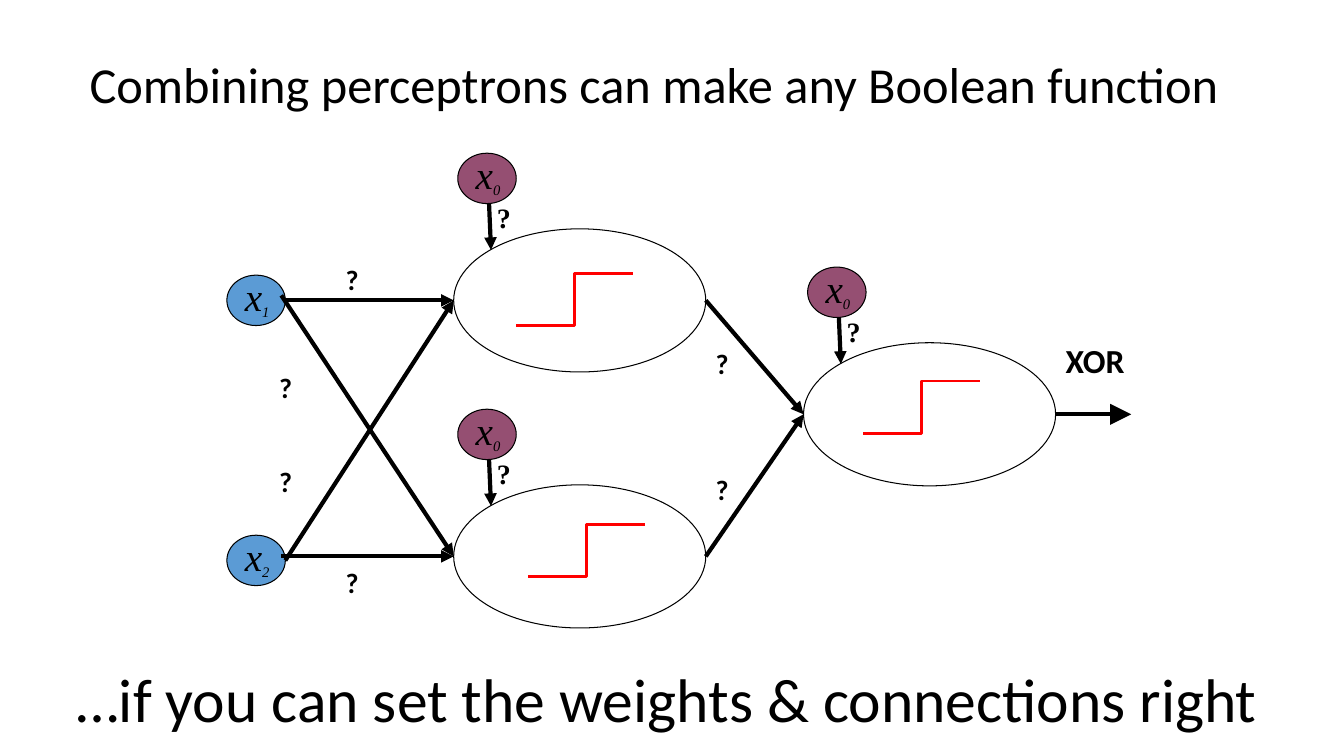
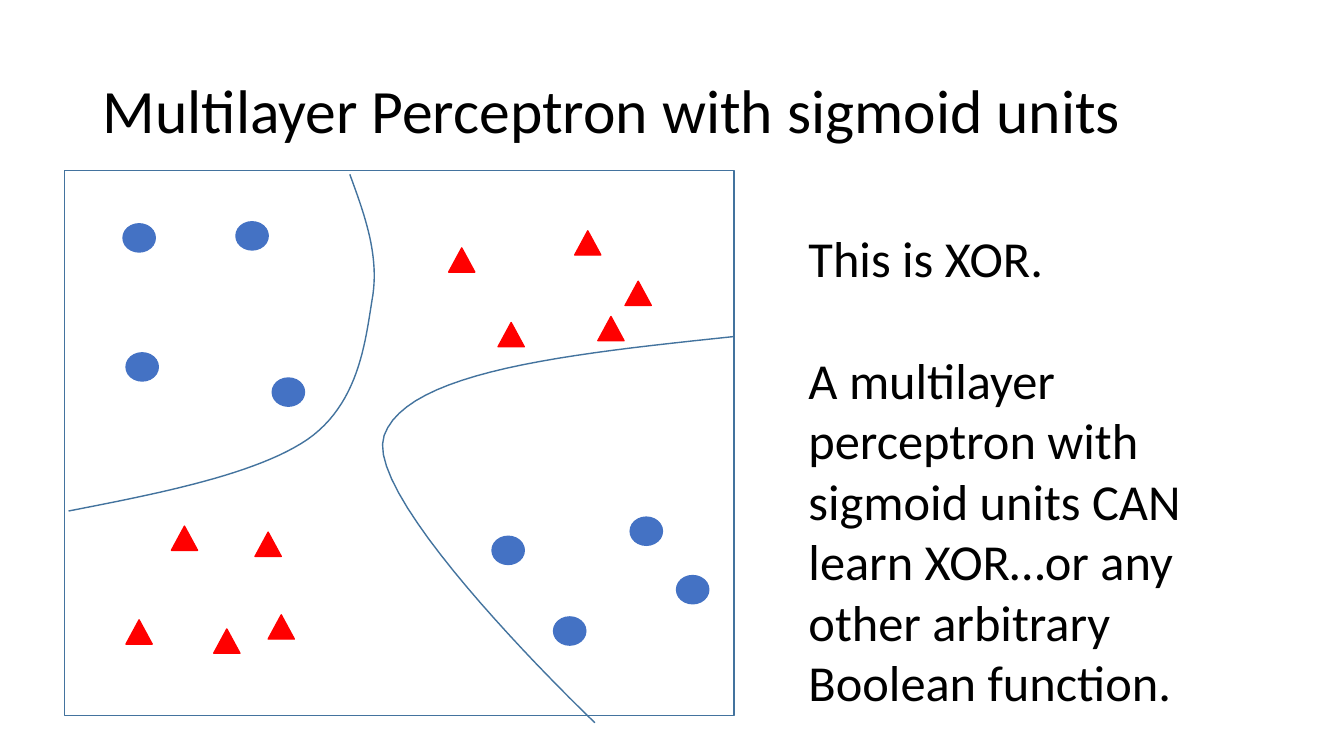
from dataclasses import dataclass

from pptx import Presentation
from pptx import util as u
from pptx.dml.color import RGBColor
from pptx.enum import shapes, text
from pptx.oxml import ns, xmlchemy
from pptx.util import Inches

BLACK = RGBColor(0x00, 0x00, 0x00)
RED = RGBColor(0xFF, 0x00, 0x00)
PLUM = RGBColor(0x95, 0x4F, 0x72)
SKY = RGBColor(0x5B, 0x9B, 0xD5)
BLUE = RGBColor(0x44, 0x72, 0xC4)
STEEL = RGBColor(0x43, 0x73, 0x9E)

SANS = "Calibri"
SERIF = "Times New Roman"
OVAL = shapes.MSO_SHAPE.OVAL
TRIANGLE = shapes.MSO_SHAPE.ISOSCELES_TRIANGLE
STRAIGHT = shapes.MSO_CONNECTOR.STRAIGHT
ELBOW = shapes.MSO_CONNECTOR.ELBOW

PLAIN = {"name": SANS}
WEIGHT = {"name": SANS, "size": u.Pt(20), "bold": True}
BIAS_WEIGHT = WEIGHT | {"name": SERIF}
VARIABLE = {"name": SERIF, "size": u.Pt(28), "italic": True}
SUBSCRIPT = VARIABLE | {"size": u.Pt(18)}
OUTPUT = {"name": SANS, "size": u.Pt(24), "bold": True}

TITLE_BOX = (11.5, 1.45)
NEURON = (2.5, 1.42)
NODE = (0.58, 0.5)
STEP = (1.16, 0.52)
DOT = (0.32, 0.28)
MARKER = (0.26, 0.24)

Point = tuple[float, float]


@dataclass(frozen=True)
class Neuron:
    left: float
    top: float
    step: Point


@dataclass(frozen=True)
class Label:
    wording: str
    at: Point
    size: Point
    style: dict


@dataclass(frozen=True)
class Series:
    kind: shapes.MSO_SHAPE
    size: Point
    color: RGBColor
    points: tuple[Point, ...]


@dataclass(frozen=True)
class Curve:
    start: Point
    segments: tuple[tuple[Point, Point, Point], ...]


NEURONS = (
    Neuron(4.5, 2.27, (5.12, 2.71)),
    Neuron(4.5, 4.81, (5.24, 5.2)),
    Neuron(7.97, 3.4, (8.56, 3.78)),
)
INPUTS = (("1", (2.25, 2.73)), ("2", (2.25, 5.31)))
ARROWS = (
    ((2.83, 5.56), (4.5, 2.98)),
    ((2.83, 2.98), (4.5, 2.98)),
    ((2.79, 2.93), (4.5, 5.52)),
    ((2.79, 5.52), (4.5, 5.52)),
    ((7, 5.52), (7.97, 4.11)),
    ((7, 2.98), (7.97, 4.11)),
)
WEIGHT_POINTS = ((3.33, 2.56), (3.33, 5.56), (7, 3.39), (7, 4.64), (2.67, 3.63), (2.67, 4.56))
LABELS = (
    *(Label("?", point, (0.33, 0.44), WEIGHT) for point in WEIGHT_POINTS),
    Label("XOR", (10.47, 3.32), (0.79, 0.5), OUTPUT),
)
SERIES = (
    Series(OVAL, DOT, BLUE, (
        (1.22, 2.22), (1.25, 3.5), (2.34, 2.2), (2.7, 3.75),
        (6.25, 5.13), (6.71, 5.71), (5.49, 6.12), (4.88, 5.32))),
    Series(TRIANGLE, MARKER, RED, (
        (1.7, 5.22), (2.66, 6.1), (2.12, 6.24), (1.25, 6.15), (2.53, 5.28),
        (5.93, 3.14), (5.7, 2.29), (4.94, 3.2), (4.45, 2.46), (6.2, 2.79))),
)
BOUNDARIES = (
    Curve((3.47, 1.73), (
        ((3.62, 2.14), (3.77, 2.55), (3.69, 2.98)),
        ((3.62, 3.42), (3.55, 4.01), (3.05, 4.36)),
        ((2.55, 4.7), (1.61, 4.89), (0.68, 5.07)))),
    Curve((7.27, 3.34), (
        ((5.66, 3.51), (4.04, 3.68), (3.81, 4.32)),
        ((3.58, 4.96), (5.9, 7.17), (5.9, 7.17)))),
)
CURVE_STEPS = 24


def lengths(*values: float) -> list[u.Length]:
    return [Inches(value) for value in values]


def add_run(paragraph, wording: str, style: dict):
    run = paragraph.add_run()
    run.text = wording
    for name, value in style.items():
        setattr(run.font, name, value)
    run.font.color.rgb = BLACK
    return run


def add_text_box(slide, at: Point, size: Point, **settings):
    frame = slide.shapes.add_textbox(*lengths(*at, *size)).text_frame
    for name, value in settings.items():
        setattr(frame, name, value)
    return frame


def add_label(slide, label: Label):
    frame = add_text_box(slide, label.at, label.size, word_wrap=False,
                         auto_size=text.MSO_AUTO_SIZE.SHAPE_TO_FIT_TEXT)
    add_run(frame.paragraphs[0], label.wording, label.style)
    return frame


def add_title(slide, wording: str, at: Point, points: int, size: Point = TITLE_BOX) -> None:
    frame = add_text_box(slide, at, size, word_wrap=True,
                         vertical_anchor=text.MSO_ANCHOR.MIDDLE)
    paragraph = frame.paragraphs[0]
    paragraph.line_spacing = 0.9
    add_run(paragraph, wording, PLAIN | {"size": u.Pt(points)})


def style_shape(shape, fill: RGBColor | None, line: RGBColor, width: float) -> None:
    shape.shadow.inherit = False
    if fill is None:
        shape.fill.background()
    else:
        shape.fill.solid()
        shape.fill.fore_color.rgb = fill
    shape.line.color.rgb = line
    shape.line.width = u.Pt(width)


def add_shape(slide, kind, at: Point, size: Point, fill: RGBColor | None,
              line: RGBColor, width: float) -> None:
    shape = slide.shapes.add_shape(kind, *lengths(*at, *size))
    style_shape(shape, fill, line, width)


def add_line(slide, kind, start: Point, end: Point, color: RGBColor, width: float):
    connector = slide.shapes.add_connector(kind, *lengths(*start, *end))
    connector.line.color.rgb = color
    connector.line.width = u.Pt(width)
    connector._element.spPr.append(xmlchemy.OxmlElement("a:effectLst"))
    return connector


def add_arrow(slide, start: Point, end: Point, head: str = "med") -> None:
    connector = add_line(slide, STRAIGHT, start, end, BLACK, 3)
    arrowhead = xmlchemy.OxmlElement("a:tailEnd")
    for name, value in {"type": "triangle", "w": head, "len": head}.items():
        arrowhead.set(name, value)
    connector._element.spPr.find(ns.qn("a:ln")).append(arrowhead)


def add_node(slide, at: Point, index: str, fill: RGBColor) -> None:
    left, top = at
    add_shape(slide, OVAL, at, NODE, fill, BLACK, 0.75)
    frame = add_label(slide, Label("x", (left + 0.08, top - 0.08), (0.46, 0.57), VARIABLE))
    subscript = add_run(frame.paragraphs[0], index, SUBSCRIPT)
    subscript.font._element.set("baseline", "-25000")


def add_neuron(slide, neuron: Neuron) -> None:
    left, top = neuron.left, neuron.top
    add_shape(slide, OVAL, (left, top), NEURON, None, BLACK, 0.75)
    add_arrow(slide, (left + 0.35, top - 0.26), (left + 0.37, top + 0.21))
    add_node(slide, (left + 0.04, top - 0.75), "0", PLUM)
    add_label(slide, Label("?", (left + 0.33, top - 0.33), (0.34, 0.44), BIAS_WEIGHT))
    step_left, step_top = neuron.step
    width, height = STEP
    add_line(slide, ELBOW, (step_left, step_top + height), (step_left + width, step_top), RED, 2)


def curve_points(curve: Curve) -> list[Point]:
    points = [curve.start]
    for segment in curve.segments:
        controls = (points[-1], *segment)
        for step in range(1, CURVE_STEPS + 1):
            t = step / CURVE_STEPS
            weights = ((1 - t) ** 3, 3 * t * (1 - t) ** 2, 3 * t * t * (1 - t), t ** 3)
            x, y = (sum(weight * control[axis] for weight, control in zip(weights, controls))
                    for axis in (0, 1))
            points.append((x, y))
    return points


def add_curve(slide, curve: Curve) -> None:
    start, *rest = [lengths(*point) for point in curve_points(curve)]
    builder = slide.shapes.build_freeform(*start)
    builder.add_line_segments(rest, close=False)
    style_shape(builder.convert_to_shape(), None, STEEL, 1)


def build_network(slide) -> None:
    add_title(slide, "Combining perceptrons can make any Boolean function", (0.79, 0.14), 36)
    for index, at in INPUTS:
        add_node(slide, at, index, SKY)
    for neuron in NEURONS:
        add_neuron(slide, neuron)
    for start, end in ARROWS:
        add_arrow(slide, start, end)
    add_arrow(slide, (10.47, 4.11), (11.22, 4.11), "lg")
    for label in LABELS:
        add_label(slide, label)
    add_title(slide, "…if you can set the weights & connections right",
              (0.66, 6.24), 44, (12.33, 1.45))


def build_decision_regions(slide) -> None:
    add_title(slide, "Multilayer Perceptron with sigmoid units", (0.92, 0.4), 44)
    add_shape(slide, shapes.MSO_SHAPE.RECTANGLE, (0.64, 1.69), (6.64, 5.41), None, STEEL, 1)
    for series in SERIES:
        for point in series.points:
            add_shape(slide, series.kind, point, series.size, series.color, series.color, 1)
    for curve in BOUNDARIES:
        add_curve(slide, curve)
    frame = add_text_box(slide, (7.92, 2.2), (4.19, 4.95), word_wrap=True,
                         auto_size=text.MSO_AUTO_SIZE.SHAPE_TO_FIT_TEXT)
    body = PLAIN | {"size": u.Pt(36)}
    add_run(frame.paragraphs[0], "This is XOR.", body)
    explanation = frame.add_paragraph()
    explanation.space_before = u.Pt(44)
    add_run(explanation, "A multilayer perceptron with sigmoid units CAN learn XOR…"
            "or any other arbitrary Boolean function.", body)


def main() -> None:
    presentation = Presentation()
    presentation.slide_width, presentation.slide_height = lengths(13.33, 7.5)
    blank = presentation.slide_layouts[6]
    for build in (build_network, build_decision_regions):
        build(presentation.slides.add_slide(blank))
    presentation.save("out.pptx")


if __name__ == "__main__":
    main()
